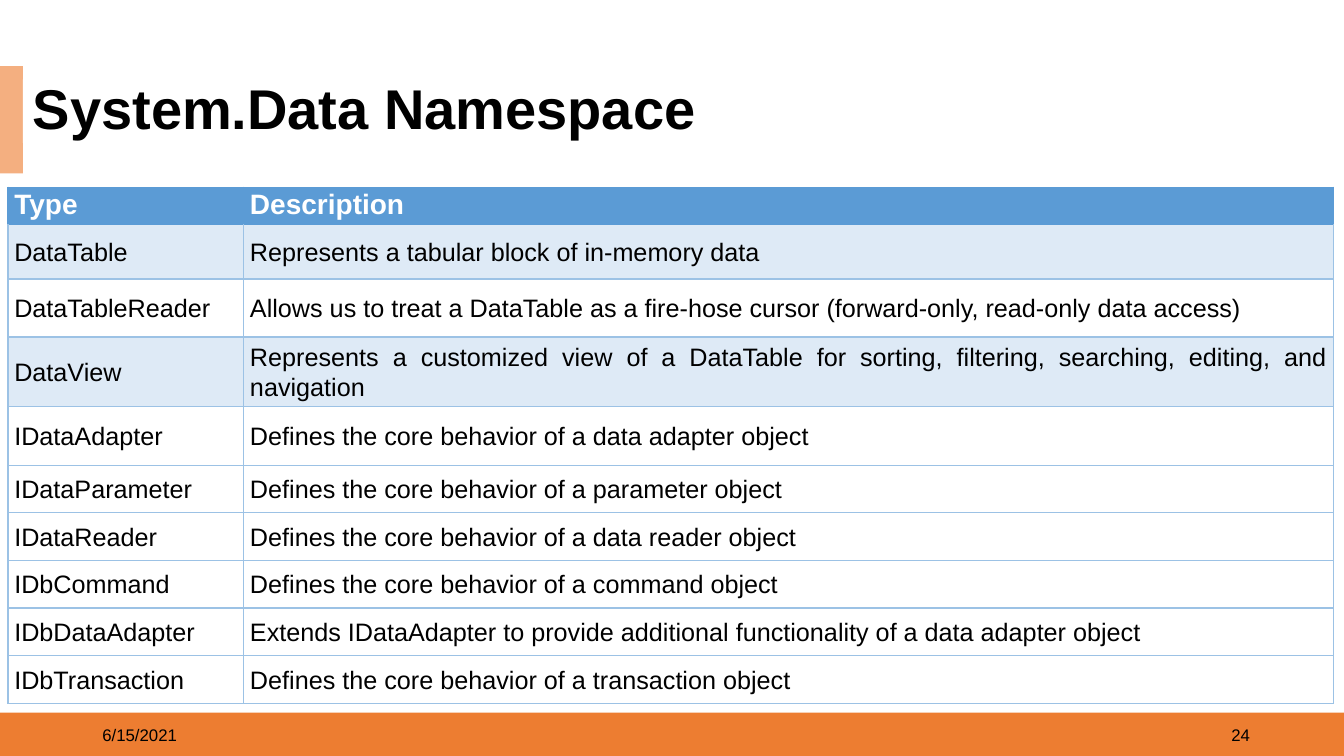
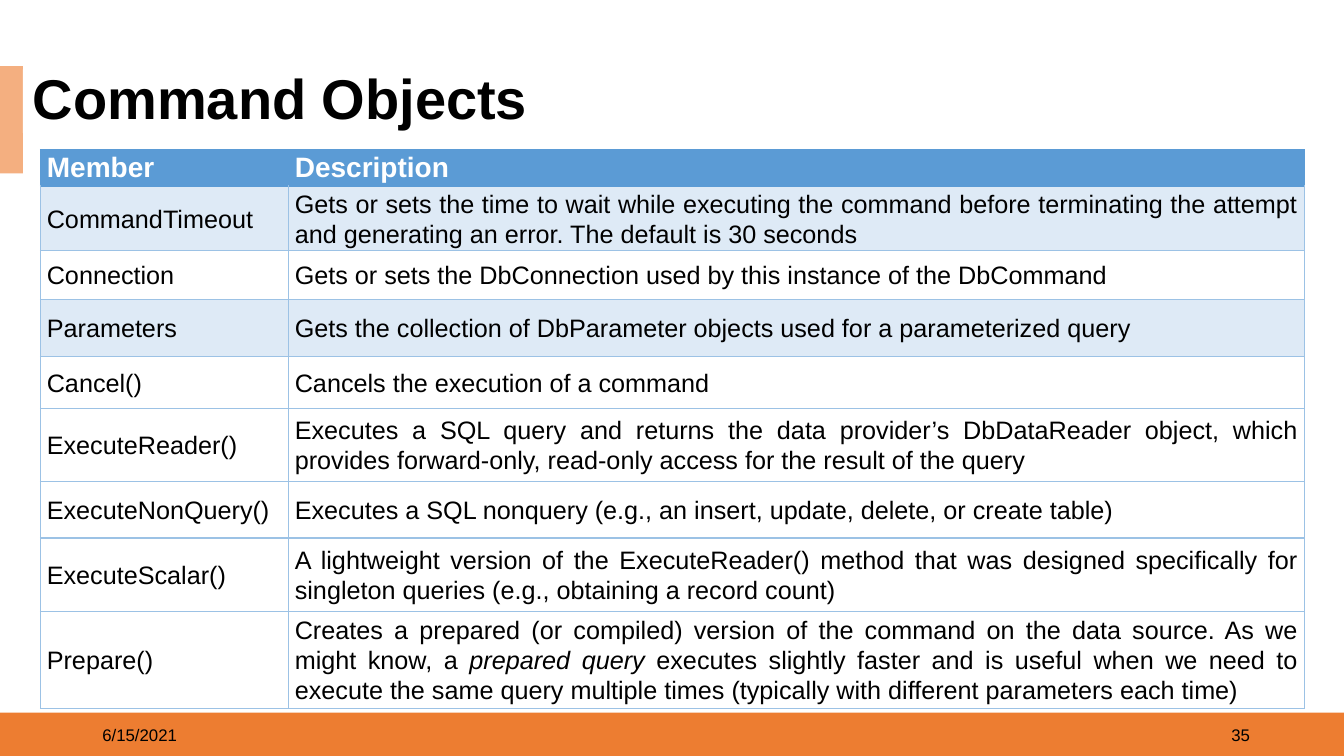
from dataclasses import dataclass

from lxml import etree
from pptx import Presentation
from pptx.dml.color import RGBColor
from pptx.enum.shapes import MSO_SHAPE
from pptx.enum.text import MSO_ANCHOR, PP_ALIGN
from pptx.oxml.ns import qn
from pptx.util import Cm, Pt

RECT = MSO_SHAPE.RECTANGLE
TOP, MIDDLE = MSO_ANCHOR.TOP, MSO_ANCHOR.MIDDLE
LEFT, RIGHT, JUSTIFY = PP_ALIGN.LEFT, PP_ALIGN.RIGHT, PP_ALIGN.JUSTIFY


@dataclass(frozen=True)
class Theme:
    font: str = "Arial"
    text: str = "000000"
    paper: str = "FFFFFF"
    band: str = "ED7D31"
    accent: str = "F4AF80"
    header: str = "5B9BD5"
    stripe: str = "DEEAF6"
    border: str = "9CC2E5"
    title_size: int = 40
    header_size: int = 20
    body_size: int = 18
    footer_size: int = 12


THEME = Theme()
DATE = "6/15/2021"

NAMESPACE_ROWS = [
    (0.94, "Type", "Description"),
    (1.37, "DataTable", "Represents a tabular block of in-memory data"),
    (1.46, "DataTableReader",
     "Allows us to treat a DataTable as a fire-hose cursor (forward-only, read-only data access)"),
    (1.75, "DataView",
     "Represents a customized view of a DataTable for sorting, filtering, searching, editing, and navigation"),
    (1.48, "IDataAdapter", "Defines the core behavior of a data adapter object"),
    (1.2, "IDataParameter", "Defines the core behavior of a parameter object"),
    (1.2, "IDataReader", "Defines the core behavior of a data reader object"),
    (1.2, "IDbCommand", "Defines the core behavior of a command object"),
    (1.2, "IDbDataAdapter",
     "Extends IDataAdapter to provide additional functionality of a data adapter object"),
    (1.2, "IDbTransaction", "Defines the core behavior of a transaction object"),
]

COMMAND_ROWS = [
    (0.64, "Member", "Description"),
    (0.99, "CommandTimeout",
     "Gets or sets the time to wait while executing the command before terminating the attempt "
     "and generating an error. The default is 30 seconds"),
    (1.22, "Connection", "Gets or sets the DbConnection used by this instance of the DbCommand"),
    (1.45, "Parameters", "Gets the collection of DbParameter objects used for a parameterized query"),
    (1.3, "Cancel()", "Cancels the execution of a command"),
    (1.85, "ExecuteReader()",
     "Executes a SQL query and returns the data provider’s DbDataReader object, which provides "
     "forward-only, read-only access for the result of the query"),
    (1.42, "ExecuteNonQuery()",
     "Executes a SQL nonquery (e.g., an insert, update, delete, or create table)"),
    (1.85, "ExecuteScalar()",
     "A lightweight version of the ExecuteReader() method that was designed specifically for "
     "singleton queries (e.g., obtaining a record count)"),
    (0.89, "Prepare()",
     "Creates a prepared (or compiled) version of the command on the data source. As we might "
     "know, a *prepared query* executes slightly faster and is useful when we need to execute "
     "the same query multiple times (typically with different parameters each time)"),
]


def rgb(color):
    return RGBColor.from_string(color)


def write(tf, text, size, color=THEME.text, bold=False, align=LEFT, spacing=1.0):
    """Fill a text frame; words between asterisks are italic."""
    p = tf.paragraphs[0]
    p.alignment = align
    p.line_spacing = spacing
    for i, part in enumerate(text.split("*")):
        r = p.add_run()
        r.text = part
        r.font.name = THEME.font
        r.font.size = Pt(size)
        r.font.color.rgb = rgb(color)
        r.font.bold = bold
        r.font.italic = i % 2 == 1


def add_rect(s, left, top, width, height, fill):
    sp = s.shapes.add_shape(RECT, Cm(left), Cm(top), Cm(width), Cm(height))
    sp.shadow.inherit = False
    sp.fill.solid()
    sp.fill.fore_color.rgb = rgb(fill)
    sp.line.fill.background()
    return sp


def add_footer_text(s, left, text, align):
    sp = s.shapes.add_textbox(Cm(left), Cm(18), Cm(7.62), Cm(1.01))
    tf = sp.text_frame
    tf.word_wrap = True
    tf.vertical_anchor = MIDDLE
    write(tf, text, THEME.footer_size, align=align)


def add_title(s, text, top):
    tf = add_rect(s, 0.58, top, 25.73, 1.6, THEME.paper).text_frame
    tf.word_wrap = True
    tf.vertical_anchor = MIDDLE
    write(tf, text, THEME.title_size, bold=True, spacing=0.9)


def set_borders(cell, **colors):
    tc_pr = cell._tc.get_or_add_tcPr()
    for side in "LRTB":
        ln = etree.SubElement(tc_pr, qn(f"a:ln{side}"), w=str(Pt(1)))
        fill = etree.SubElement(ln, qn("a:solidFill"))
        etree.SubElement(fill, qn("a:srgbClr"), val=colors.get(side, THEME.border))


def format_cell(cell, text, row, striped):
    is_header = row == 0
    cell.margin_left = cell.margin_right = Cm(0.16)
    cell.margin_top = cell.margin_bottom = 0
    cell.vertical_anchor = TOP if is_header else MIDDLE
    header_sides = "LRTB" if is_header else "T" if row == 1 else ""
    set_borders(cell, **dict.fromkeys(header_sides, THEME.header))
    if is_header or striped:
        cell.fill.solid()
        cell.fill.fore_color.rgb = rgb(THEME.header if is_header else THEME.stripe)
    else:
        cell.fill.background()
    write(cell.text_frame, text,
          THEME.header_size if is_header else THEME.body_size,
          color=THEME.paper if is_header else THEME.text,
          bold=is_header, align=JUSTIFY, spacing=1.07)


def add_grid(s, left, top, widths, rows, striped_rows=(1, 3)):
    height = sum(row[0] for row in rows)
    frame = s.shapes.add_table(len(rows), len(widths), Cm(left), Cm(top),
                               Cm(sum(widths)), Cm(height))
    table = frame.table
    table.first_row = table.horz_banding = False
    for column, width in zip(table.columns, widths):
        column.width = Cm(width)
    for i, (row_height, *texts) in enumerate(rows):
        table.rows[i].height = Cm(row_height)
        for j, text in enumerate(texts):
            format_cell(table.cell(i, j), text, i, i in striped_rows)


def add_slide(prs, title, title_top, number):
    s = prs.slides.add_slide(prs.slide_layouts[6])
    add_rect(s, 0, 17.96, 33.87, 1.09, THEME.band)
    add_rect(s, 0, 1.67, 0.58, 2.7, THEME.accent)
    add_footer_text(s, 2.33, DATE, LEFT)
    add_footer_text(s, 24.13, number, RIGHT)
    add_title(s, title, title_top)
    return s


def main():
    prs = Presentation()
    prs.slide_width, prs.slide_height = Cm(33.87), Cm(19.05)
    s = add_slide(prs, "System.Data Namespace", 2, "24")
    add_grid(s, 0.2, 4.72, (5.94, 27.46), NAMESPACE_ROWS)
    s = add_slide(prs, "Command Objects", 1.75, "35")
    add_grid(s, 1.02, 3.78, (6.25, 25.6), COMMAND_ROWS)
    prs.save("out.pptx")


if __name__ == "__main__":
    main()
